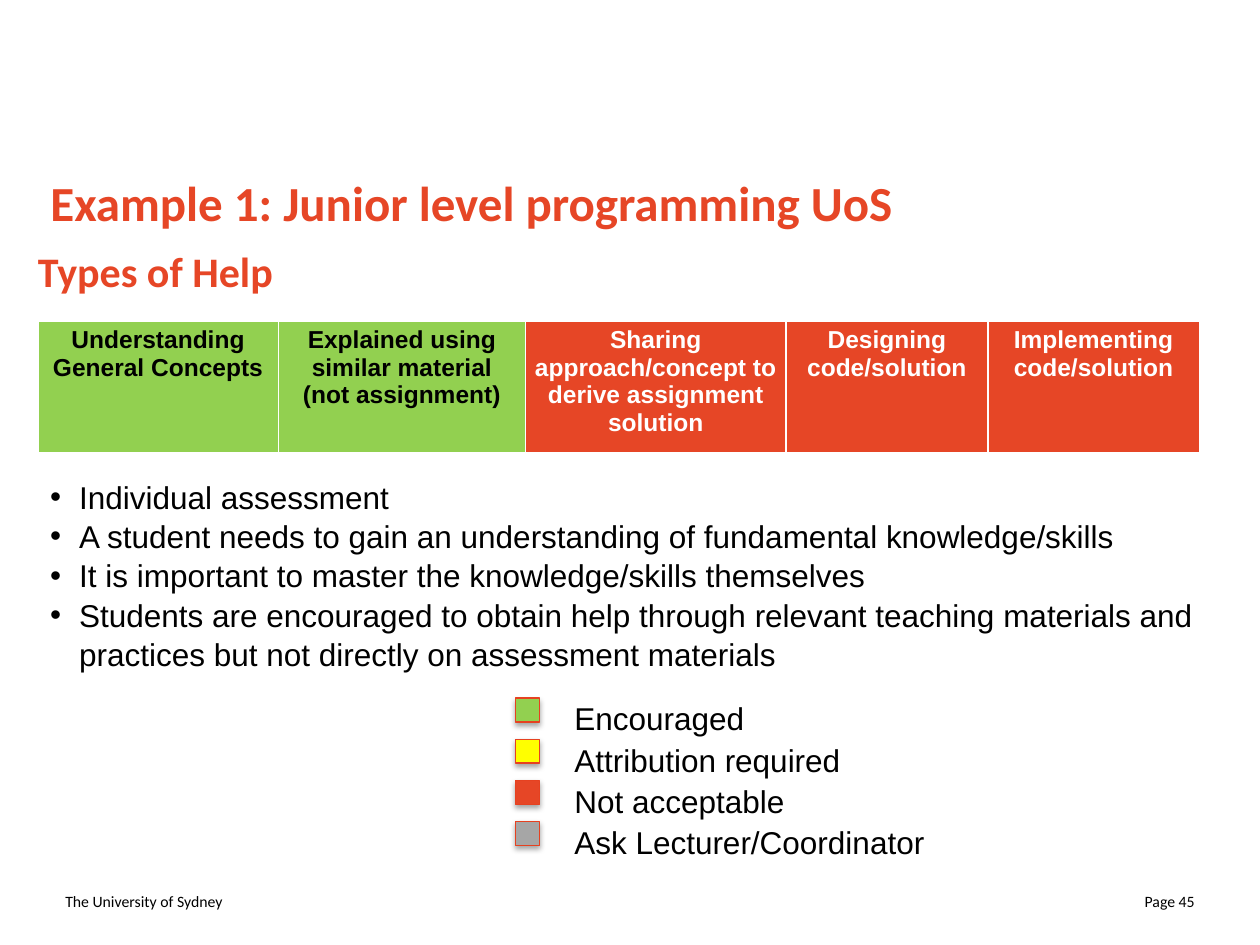
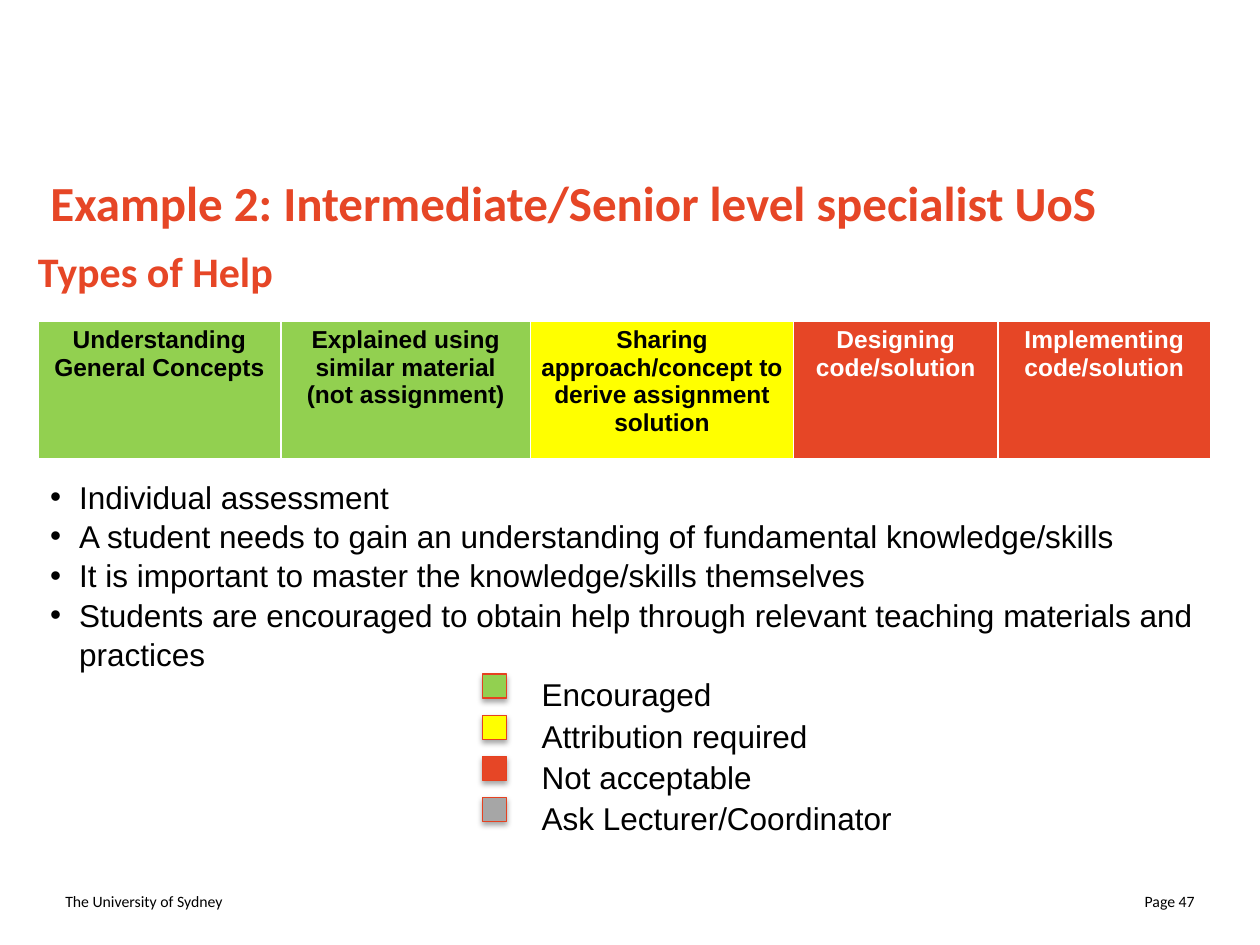
"""Build two slides on which types of help are allowed in assessments."""
from lxml import etree
from pptx import Presentation
from pptx.dml.color import RGBColor
from pptx.enum.shapes import MSO_SHAPE
from pptx.enum.text import MSO_ANCHOR, MSO_AUTO_SIZE, PP_ALIGN
from pptx.oxml import parse_xml
from pptx.util import Inches, Pt

RECTANGLE = MSO_SHAPE.RECTANGLE
MIDDLE = MSO_ANCHOR.MIDDLE
NO_FIT = MSO_AUTO_SIZE.NONE
LEFT, CENTER, RIGHT = PP_ALIGN.LEFT, PP_ALIGN.CENTER, PP_ALIGN.RIGHT

DRAWING = "http://schemas.openxmlformats.org/drawingml/2006/main"
GREEN, YELLOW, RED, GRAY = "92D050", "FFFF00", "E64626", "A6A6A6"
BLACK, WHITE, SWATCH_LINE = "000000", "FFFFFF", "E64120"
MARGIN = 0.3
BODY_SPACING = 1.04
SHADOW = (
    f'<a:effectLst xmlns:a="{DRAWING}">'
    '<a:outerShdw blurRad="39370" dist="22860" dir="5400000" rotWithShape="0">'
    '<a:srgbClr val="000000"><a:alpha val="35000"/></a:srgbClr>'
    "</a:outerShdw></a:effectLst>"
)

HELP_TYPES = [
    "Understanding General Concepts",
    "Explained using similar material (not assignment)",
    "Sharing approach/concept to derive assignment solution",
    "Designing code/solution",
    "Implementing code/solution",
]
LEGEND = [
    ("Encouraged", GREEN),
    ("Attribution required", YELLOW),
    ("Not acceptable", RED),
    ("Ask Lecturer/Coordinator", GRAY),
]
POINTS = [
    "Individual assessment",
    "A student needs to gain an understanding of fundamental knowledge/skills",
    "It is important to master the knowledge/skills themselves",
]
HELP_POINT = "Students are encouraged to obtain help through relevant teaching materials and practices"
SLIDES = [
    {
        "title": "Example 1: Junior level programming UoS",
        "page": "Page 45",
        "last_point": HELP_POINT + " but not directly on assessment materials",
        "fills": [GREEN, GREEN, RED, RED, RED],
        "columns": [1.91, 1.96, 2.07, 1.6, 1.68],
        "row_height": 1.04,
        "legend_at": (4.09, 5.54),
    },
    {
        "title": "Example 2: Intermediate/Senior level specialist UoS",
        "page": "Page 47",
        "last_point": HELP_POINT,
        "fills": [GREEN, GREEN, YELLOW, RED, RED],
        "columns": [1.93, 1.98, 2.09, 1.62, 1.69],
        "row_height": 1.09,
        "legend_at": (3.83, 5.35),
    },
]


def rgb(value):
    """Return a colour from its hex string."""
    return RGBColor.from_string(value)


def write(para, text, size, font="Arial", color=BLACK, bold=False, align=LEFT):
    """Add one formatted run to a paragraph."""
    para.alignment = align
    span = para.add_run()
    span.text = text
    span.font.size = Pt(size)
    span.font.name = font
    span.font.bold = bold
    span.font.color.rgb = rgb(color)


deck = Presentation()
deck.slide_width, deck.slide_height = Inches(10), Inches(7.5)

for content in SLIDES:
    page = deck.slides.add_slide(deck.slide_layouts[5])

    for left, text, align in [(0.42, "The University of Sydney", LEFT), (7.25, content["page"], RIGHT)]:
        box = page.shapes.add_textbox(Inches(left), Inches(6.95), Inches(2.33), Inches(0.4))
        box.text_frame.word_wrap = True
        box.text_frame.vertical_anchor = MIDDLE
        write(box.text_frame.paragraphs[0], text, 9, "Calibri", align=align)

    title = page.shapes.title
    title.left, title.top = Inches(MARGIN), Inches(1.34)
    title.width, title.height = Inches(9.22), Inches(0.53)
    title.text_frame.auto_size = NO_FIT
    title.text_frame.vertical_anchor = MIDDLE
    write(title.text_frame.paragraphs[0], content["title"], 28, "Calibri", RED, True)

    box = page.shapes.add_textbox(Inches(MARGIN), Inches(1.95), Inches(9.22), Inches(0.53))
    frame = box.text_frame
    frame.word_wrap = True
    frame.margin_left = frame.margin_top = frame.margin_right = frame.margin_bottom = 0
    write(frame.paragraphs[0], "Types of Help", 24, "Calibri", RED, True)

    widths = content["columns"]
    height = Inches(content["row_height"])
    table = page.shapes.add_table(
        1, len(widths), Inches(MARGIN), Inches(2.55), Inches(sum(widths)), height
    ).table
    for column, width in zip(table.columns, widths):
        column.width = Inches(width)
    for cell, text, fill in zip(table.rows[0].cells, HELP_TYPES, content["fills"]):
        cell.fill.solid()
        cell.fill.fore_color.rgb = rgb(fill)
        cell.margin_left = cell.margin_right = Inches(0.07)
        cell.margin_top = cell.margin_bottom = Inches(0.04)
        color = WHITE if fill == RED else BLACK
        write(cell.text_frame.paragraphs[0], text, 14, color=color, bold=True, align=CENTER)

    box = page.shapes.add_textbox(Inches(MARGIN), Inches(3.73), Inches(9.39), Inches(1.62))
    frame = box.text_frame
    frame.word_wrap = True
    for index, text in enumerate(POINTS + [content["last_point"]]):
        para = frame.add_paragraph() if index else frame.paragraphs[0]
        para.line_spacing = BODY_SPACING
        properties = para._p.get_or_add_pPr()
        properties.set("marL", str(Inches(0.23)))
        properties.set("indent", str(Inches(-0.23)))
        etree.SubElement(properties, f"{{{DRAWING}}}buFont", typeface="Arial")
        etree.SubElement(properties, f"{{{DRAWING}}}buChar", char="•")
        write(para, text, 18)

    legend = page.shapes.add_group_shape()
    legend_left, legend_top = content["legend_at"]
    for index, (text, fill) in enumerate(LEGEND):
        top = legend_top + 0.327 * index
        swatch = legend.shapes.add_shape(
            RECTANGLE, Inches(legend_left), Inches(top), Inches(0.19), Inches(0.19)
        )
        swatch.fill.solid()
        swatch.fill.fore_color.rgb = rgb(fill)
        swatch.line.color.rgb = rgb(SWATCH_LINE)
        swatch.line.width = Pt(0.75)
        swatch._element.spPr.append(parse_xml(SHADOW))

        label = legend.shapes.add_textbox(
            Inches(legend_left + 0.37), Inches(top - 0.05), Inches(4.59), Inches(0.4)
        )
        label.text_frame.word_wrap = True
        label.text_frame.paragraphs[0].line_spacing = BODY_SPACING
        write(label.text_frame.paragraphs[0], text, 18)

deck.save("out.pptx")
